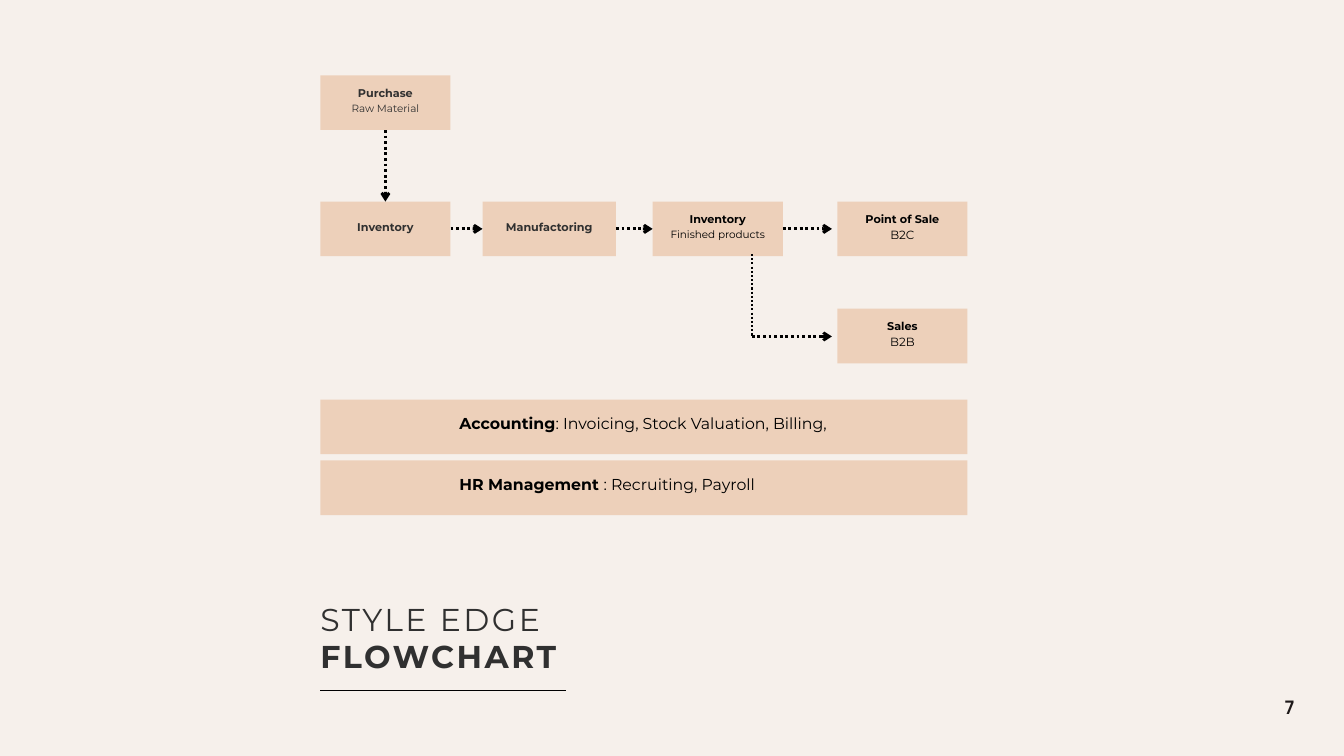
"""Build the business flowchart slide."""
from lxml import etree
from pptx import Presentation
from pptx.dml.color import RGBColor
from pptx.enum.dml import MSO_LINE
from pptx.enum.shapes import MSO_CONNECTOR, MSO_SHAPE
from pptx.enum.text import MSO_ANCHOR, PP_ALIGN
from pptx.oxml.ns import qn
from pptx.util import Pt

CREAM = RGBColor(0xF6, 0xF0, 0xEB)
PEACH = RGBColor(0xED, 0xD0, 0xBA)
BLACK = RGBColor(0, 0, 0)
CHARCOAL = RGBColor(0x30, 0x30, 0x30)
NUMBER = RGBColor(0x1E, 0x19, 0x19)

STRAIGHT = MSO_CONNECTOR.STRAIGHT
RECTANGLE = MSO_SHAPE.RECTANGLE
DOTTED = MSO_LINE.ROUND_DOT
MIDDLE, TOP = MSO_ANCHOR.MIDDLE, MSO_ANCHOR.TOP
CENTER, LEFT = PP_ALIGN.CENTER, PP_ALIGN.LEFT

FONT = "Montserrat"
LEADING = 1.4
X0, BOX_W, BOX_H = 343.2, 139.5, 58.5
ROW1, ROW2, ROW3 = 80.8, 216, 330.8
ROW2_MID = ROW2 + BOX_H / 2
SALES_X, SALES_Y = 897.1, 360.5
BAR_W, BAR_INDENT = 693.4, 149
BRANCH_X, ARROW_STOP = 805.5, 891.4


def format_run(r, size, color, bold=False, font=FONT):
    """Set the look of one run."""
    r.font.name = font
    r.font.size = Pt(size)
    r.font.bold = bold
    r.font.color.rgb = color


def set_frame(tf, anchor=TOP, left=0, bottom=0):
    """Set wrapping, anchor and insets of a text frame."""
    tf.word_wrap = True
    tf.vertical_anchor = anchor
    tf.margin_left, tf.margin_bottom = Pt(left), Pt(bottom)
    tf.margin_top = tf.margin_right = 0


def add_panel(s, x, y, w):
    """Add a plain peach rectangle."""
    sp = s.shapes.add_shape(RECTANGLE, Pt(x), Pt(y), Pt(w), Pt(BOX_H))
    sp.shadow.inherit = False
    sp.fill.solid()
    sp.fill.fore_color.rgb = PEACH
    sp.line.fill.background()
    return sp


def add_step(s, x, y, title, detail="", size=11.2, color=BLACK, w=BOX_W):
    """Add a flowchart step with a bold title and an optional detail."""
    sp = add_panel(s, x, y, w)
    tf = sp.text_frame
    set_frame(tf, MIDDLE, bottom=6.8)
    tf.text = f"{title}\n{detail}" if detail else title
    for p, pt, bold in zip(tf.paragraphs, (12, size), (True, False)):
        p.alignment = CENTER
        p.line_spacing = Pt(pt * LEADING)
        format_run(p.runs[0], pt, color, bold)
    return sp


def add_bar(s, y, title, detail):
    """Add a wide bar with a bold title followed by its detail."""
    tf = add_panel(s, X0, y, BAR_W).text_frame
    set_frame(tf, MIDDLE, BAR_INDENT, 10.5)
    p = tf.paragraphs[0]
    p.alignment = LEFT
    p.line_spacing = Pt(23.6)
    for text, bold in ((title, True), (detail, False)):
        r = p.add_run()
        r.text = text
        format_run(r, 16.9, BLACK, bold)


def add_label(s, x, y, w, h, text, size, color, bold, font=FONT,
              align=LEFT, spacing=0):
    """Add a one-line text box."""
    tf = s.shapes.add_textbox(Pt(x), Pt(y), Pt(w), Pt(h)).text_frame
    set_frame(tf)
    tf.text = text
    p = tf.paragraphs[0]
    p.alignment = align
    p.line_spacing = Pt(size * LEADING)
    r = p.runs[0]
    format_run(r, size, color, bold, font)
    if spacing:
        r.font._element.set("spc", str(round(spacing * 100)))


def add_line(s, x1, y1, x2, y2, width):
    """Add a plain black line without shadow."""
    cn = s.shapes.add_connector(STRAIGHT, Pt(x1), Pt(y1), Pt(x2), Pt(y2))
    cn.line.color.rgb = BLACK
    cn.line.width = Pt(width)
    etree.SubElement(cn._element.spPr, qn("a:effectLst"))
    return cn


def add_arrow(s, x1=0, y1=0, x2=0, y2=0, start=None, end=None):
    """Add a dotted arrow, joined to (shape, site) pairs where given."""
    cn = add_line(s, x1, y1, x2, y2, 3)
    cn.line.dash_style = DOTTED
    etree.SubElement(cn.line._get_or_add_ln(), qn("a:tailEnd"), type="arrow")
    if start:
        cn.begin_connect(*start)
    if end:
        cn.end_connect(*end)


def main():
    """Build and save the slide."""
    prs = Presentation()
    prs.slide_width, prs.slide_height = Pt(1440), Pt(810)
    s = prs.slides.add_slide(prs.slide_layouts[6])
    s.background.fill.solid()
    s.background.fill.fore_color.rgb = CREAM

    purchase = add_step(s, X0, ROW1, "Purchase", "Raw Material", color=CHARCOAL)
    stock = add_step(s, X0, ROW2, "Inventory", color=CHARCOAL)
    making = add_step(s, 517, ROW2, "Manufactoring", color=CHARCOAL, w=143)
    finished = add_step(s, 699.3, ROW2, "Inventory", "Finished products")
    add_step(s, SALES_X, ROW2, "Point of Sale", "B2C", 12.7)
    add_step(s, SALES_X, ROW3, "Sales", "B2B", 12.7)

    add_bar(s, 428.2, "Accounting", ": Invoicing, Stock Valuation, Billing,")
    add_bar(s, 493.4, "HR Management ", ": Recruiting, Payroll")

    add_arrow(s, start=(purchase, 2), end=(stock, 0))
    add_arrow(s, start=(stock, 3), end=(making, 1))
    add_arrow(s, start=(making, 3), end=(finished, 1))
    add_arrow(s, x2=ARROW_STOP, y2=ROW2_MID, start=(finished, 3))
    branch = add_line(s, BRANCH_X, 272.2, BRANCH_X, SALES_Y, 2.25)
    branch.line.dash_style = DOTTED
    add_arrow(s, BRANCH_X, SALES_Y, ARROW_STOP, SALES_Y)

    for y, text, bold in ((635.8, "STYLE EDGE", False),
                          (675.4, "FLOWCHART", True)):
        add_label(s, X0, y, 360.7, 49, text, 33.8, CHARCOAL, bold, spacing=2.7)
    add_line(s, X0, 739.8, X0 + 263.5, 739.8, 0.75)
    add_label(s, 1366.6, 741.6, 30.2, 47.5, "7", 20, NUMBER, True,
              "Manrope", CENTER)

    prs.save("out.pptx")


if __name__ == "__main__":
    main()
